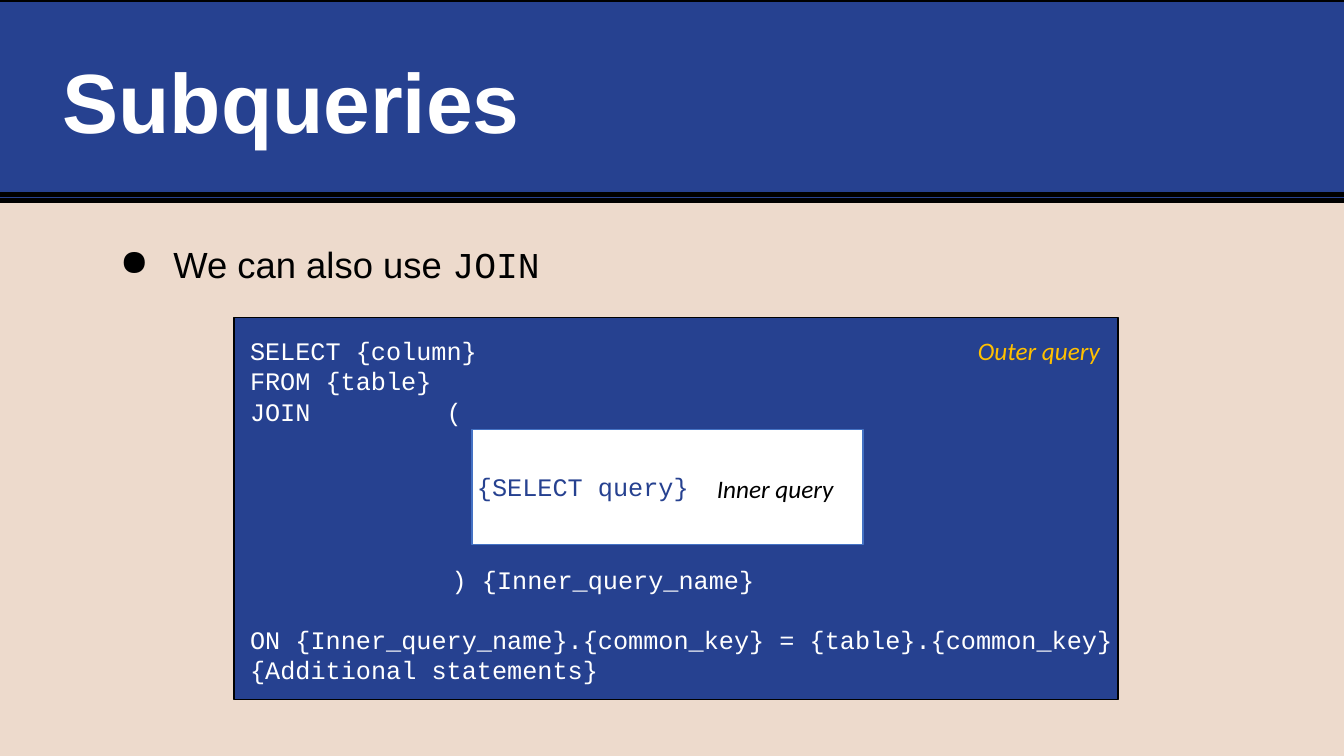
from dataclasses import dataclass

from lxml import etree
from pptx import Presentation
from pptx.dml.color import RGBColor
from pptx.enum.shapes import MSO_CONNECTOR, MSO_SHAPE
from pptx.enum.text import MSO_ANCHOR, PP_ALIGN
from pptx.oxml.ns import qn
from pptx.util import Inches, Pt

RECTANGLE = MSO_SHAPE.RECTANGLE
STRAIGHT = MSO_CONNECTOR.STRAIGHT
TOP, MIDDLE = MSO_ANCHOR.TOP, MSO_ANCHOR.MIDDLE
LEFT = PP_ALIGN.LEFT

COLORS = {
    "sand": "EDDACC",
    "navy": "264190",
    "black": "000000",
    "white": "FFFFFF",
    "edge": "4472C4",
    "amber": "FFC000",
}
BODY, CODE, LABEL = "Arial", "Courier New", "Calibri"
CODE_LINE = 21  # points from one code line to the next
CODE_INDENT = 2  # inches

presentation = Presentation()
presentation.slide_width = Inches(13.33)
presentation.slide_height = Inches(7.5)
slide = presentation.slides.add_slide(presentation.slide_layouts[6])


@dataclass(frozen=True)
class Area:
    """A rectangle in percent of the slide's width and height."""
    left: float
    top: float
    width: float
    height: float


@dataclass(frozen=True)
class Style:
    """The look of a piece of text."""
    font: str
    size: int
    color: str
    bold: bool = False
    italic: bool = False


@dataclass(frozen=True)
class Panel:
    """A filled and outlined rectangle."""
    area: Area
    fill: str
    line: str
    weight: int


@dataclass(frozen=True)
class TextBlock:
    """Lines of text in one style."""
    area: Area
    lines: tuple[str, ...]
    style: Style
    anchor: MSO_ANCHOR = TOP
    inset: float = 0.05


CODE_STYLE = Style(CODE, 18, "white")
BAND = Panel(Area(-0.75, 0, 102.15, 26.53), "navy", "black", 3)
OUTER = Panel(Area(17.4, 42, 65.79, 50.53), "navy", "black", 1)
INNER = Panel(Area(35.11, 56.8, 29.11, 15.2), "white", "edge", 1)

TITLE = TextBlock(Area(3.68, 4.27, 93.17, 18), ("Subqueries",),
                  Style(BODY, 60, "white", bold=True), MIDDLE, 0.13)
POINT = TextBlock(Area(7.2, 29.2, 86.27, 9.6), ("We can also use ",),
                  Style(BODY, 26, "black"), TOP, 0.13)
OPENING = TextBlock(Area(18.23, 43.73, 18.83, 12.4),
                    ("SELECT {column}", "FROM {table}", "JOIN\t("), CODE_STYLE)
SUBQUERY = TextBlock(INNER.area, ("{SELECT query}",),
                     Style(CODE, 18, "navy"), MIDDLE)
CLOSING = TextBlock(
    Area(18.23, 74, 65.04, 16.13),
    (") {Inner_query_name}",
     "ON {Inner_query_name}.{common_key} = {table}.{common_key}",
     "{Additional statements}"), CODE_STYLE)
OUTER_LABEL = TextBlock(Area(72.39, 43.73, 9.9, 4.8), ("Outer query",),
                        Style(LABEL, 18, "amber", italic=True))
INNER_LABEL = TextBlock(Area(52.96, 62, 9.53, 4.8), ("Inner query",),
                        Style(LABEL, 18, "black", italic=True))


def color(name: str) -> RGBColor:
    """Look up a colour by name."""
    return RGBColor.from_string(COLORS[name])


def across(share: float) -> int:
    """Turn a percentage of the slide's width into a length."""
    return round(presentation.slide_width * share / 100)


def down(share: float) -> int:
    """Turn a percentage of the slide's height into a length."""
    return round(presentation.slide_height * share / 100)


def place(area: Area) -> tuple[int, int, int, int]:
    """Give left, top, width and height as lengths."""
    return (across(area.left), down(area.top),
            across(area.width), down(area.height))


def draw_panel(panel: Panel):
    """Draw a rectangle without shadow and return it."""
    shape = slide.shapes.add_shape(RECTANGLE, *place(panel.area))
    shape.shadow.inherit = False
    shape.fill.solid()
    shape.fill.fore_color.rgb = color(panel.fill)
    shape.line.color.rgb = color(panel.line)
    shape.line.width = Pt(panel.weight)
    return shape


def draw_rule(left: float, right: float, top: float) -> None:
    """Draw a horizontal black line without shadow."""
    rule = slide.shapes.add_connector(
        STRAIGHT, across(left), down(top), across(right), down(top))
    rule.line.color.rgb = color("black")
    rule.line.width = Pt(3)
    etree.SubElement(rule._element.spPr, qn("a:effectLst"))


def write(block: TextBlock, shape=None) -> list:
    """Write a block into a shape or a new text box; return its paragraphs."""
    shape = shape or slide.shapes.add_textbox(*place(block.area))
    frame = shape.text_frame
    frame.word_wrap = True
    frame.vertical_anchor = block.anchor
    frame.margin_left = frame.margin_right = Inches(block.inset)
    frame.margin_top = frame.margin_bottom = Inches(block.inset)
    frame.text = "\n".join(block.lines)
    for paragraph in frame.paragraphs:
        paragraph.alignment = LEFT
        paragraph.font.name = block.style.font
        paragraph.font.size = Pt(block.style.size)
        paragraph.font.bold = block.style.bold
        paragraph.font.italic = block.style.italic
        paragraph.font.color.rgb = color(block.style.color)
    return list(frame.paragraphs)


def add_bullet(paragraph, margin: float, indent: float) -> None:
    """Give a paragraph a round black bullet and a hanging indent."""
    properties = paragraph._p.get_or_add_pPr()
    properties.set("marL", str(Inches(margin)))
    properties.set("indent", str(Inches(indent)))
    bullet_color = etree.Element(qn("a:buClr"))
    etree.SubElement(bullet_color, qn("a:srgbClr"), val=COLORS["black"])
    bullet = etree.Element(qn("a:buChar"), char="●")
    defaults = properties.find(qn("a:defRPr"))
    defaults.addprevious(bullet_color)
    defaults.addprevious(bullet)


def add_tab(paragraph, position: float) -> None:
    """Set a left tab stop, in inches from the text's edge."""
    stops = etree.Element(qn("a:tabLst"))
    etree.SubElement(stops, qn("a:tab"), pos=str(Inches(position)), algn="l")
    paragraph._p.get_or_add_pPr().find(qn("a:defRPr")).addprevious(stops)


slide.background.fill.solid()
slide.background.fill.fore_color.rgb = color("sand")
draw_panel(BAND)
draw_rule(-1.58, 100.8, 25.73)
write(TITLE)

point = write(POINT)[0]
point.line_spacing = 1.2
keyword = point.add_run()
keyword.text = "JOIN"
keyword.font.name = CODE
add_bullet(point, 0.63, -0.53)

draw_panel(OUTER)
join_line = write(OPENING)[-1]
add_tab(join_line, 1.95)
write(SUBQUERY, draw_panel(INNER))
alias_line, condition_line, _ = write(CLOSING)
alias_line._p.get_or_add_pPr().set("indent", str(Inches(CODE_INDENT)))
condition_line.space_before = Pt(CODE_LINE)
write(OUTER_LABEL)
write(INNER_LABEL)

presentation.save("out.pptx")
